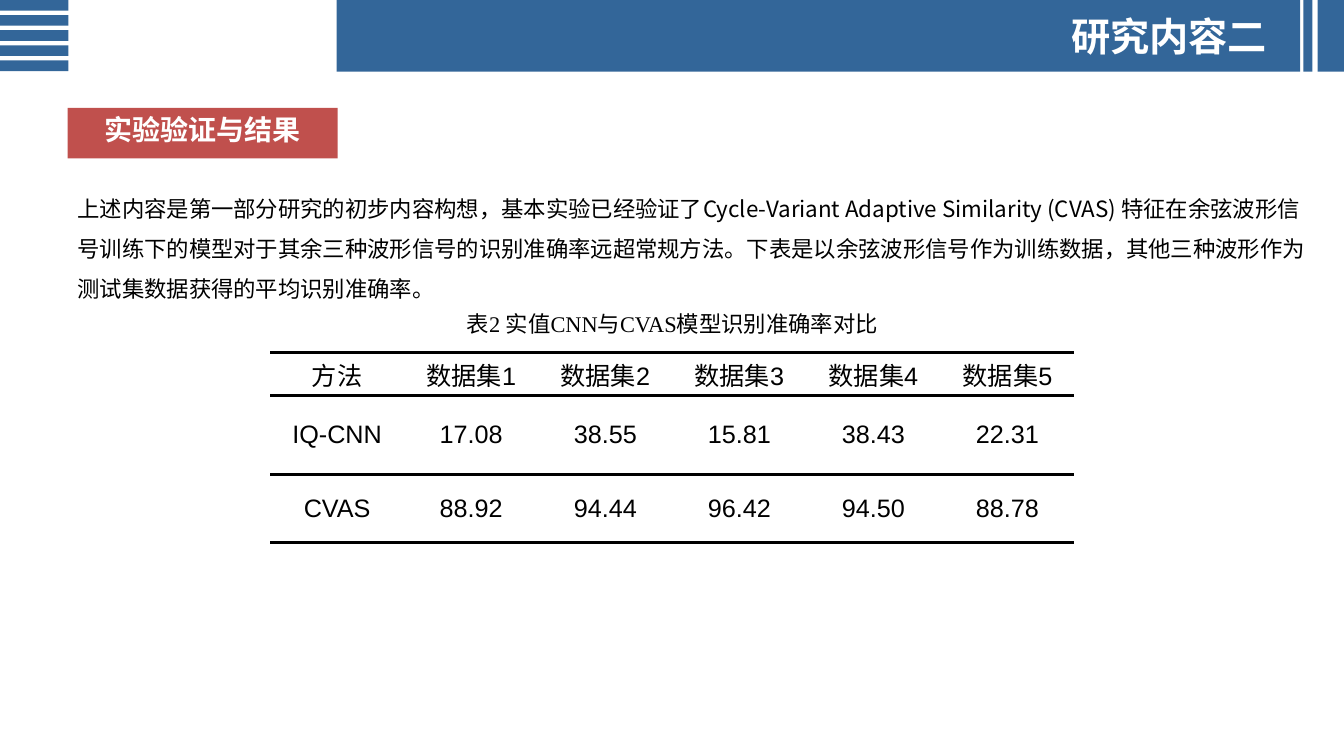
from dataclasses import dataclass

from lxml.etree import SubElement
from pptx import Presentation
from pptx.dml.color import RGBColor
from pptx.enum.shapes import MSO_SHAPE
from pptx.enum.text import MSO_ANCHOR as Anchor, MSO_AUTO_SIZE as AutoSize, PP_ALIGN as Align
from pptx.oxml import parse_xml
from pptx.oxml.ns import nsdecls, qn
from pptx.util import Emu, Inches, Pt

SLIDE_W, SLIDE_H = Inches(13.333), Inches(7.5)
NO_STYLE = "{2D5ABB26-0587-4C30-8999-92F81FD0307C}"


@dataclass(frozen=True)
class Theme:
    blue: str = "336699"
    red: str = "C0504D"
    white: str = "FFFFFF"
    black: str = "000000"
    cjk: str = "Noto Sans CJK SC"
    serif: str = "Times New Roman"
    sans: str = "Arial"
    title: int = 28
    badge: int = 20
    cell: int = 18
    body: int = 16
    rule: float = 2.25


T = Theme()


@dataclass(frozen=True)
class Box:
    """A rectangle in percent of the slide's width and height."""
    x: float
    y: float
    w: float
    h: float

    def emu(self) -> tuple[Emu, Emu, Emu, Emu]:
        return across(self.x), down(self.y), across(self.w), down(self.h)


@dataclass(frozen=True)
class Style:
    size: int
    font: str = T.cjk
    color: str = T.black
    bold: bool = False
    align: Align = Align.CENTER
    anchor: Anchor = Anchor.MIDDLE
    spacing: float = 1.0


def across(share: float) -> Emu:
    return Emu(round(SLIDE_W * share / 100))


def down(share: float) -> Emu:
    return Emu(round(SLIDE_H * share / 100))


BAND_H = 9.47
BANDS = [Box(25.05, 0, 71.7, BAND_H), Box(96.98, 0, 0.68, BAND_H), Box(98.03, 0, 1.97, BAND_H)]
STRIPES = [Box(0, 2 * i, 5.1, 1.4) for i in range(5)]
TITLE = Box(28.35, 0.53, 66.68, 8.53)
BADGE = Box(5.03, 14.27, 20.1, 6.67)
BODY = Box(5.03, 23.33, 93.83, 17.47)
CAPTION = Box(32.63, 40.27, 34.8, 4.93)
TABLE = Box(20.1, 46.67, 59.85, 25.06)
ROW_SHARES = (5.6, 10.53, 8.93)

BODY_TEXT = (
    "上述内容是第一部分研究的初步内容构想，基本实验已经验证了Cycle-Variant Adaptive Similarity (CVAS) "
    "特征在余弦波形信号训练下的模型对于其余三种波形信号的识别准确率远超常规方法。"
    "下表是以余弦波形信号作为训练数据，其他三种波形作为测试集数据获得的平均识别准确率。"
)
RESULTS = (
    ("方法", *(f"数据集{n}" for n in range(1, 6))),
    ("IQ-CNN", "17.08", "38.55", "15.81", "38.43", "22.31"),
    ("CVAS", "88.92", "94.44", "96.42", "94.50", "88.78"),
)


def write(tf, text: str, style: Style) -> None:
    tf.word_wrap = True
    p = tf.paragraphs[0]
    p.alignment, p.line_spacing = style.align, style.spacing
    r = p.add_run()
    r.text = text
    r.font.size, r.font.bold = Pt(style.size), style.bold
    r.font.name = style.font
    r.font.color.rgb = RGBColor.from_string(style.color)
    SubElement(r.font._element, qn("a:ea")).set("typeface", T.cjk)


def add_rect(s, box: Box, color: str):
    sp = s.shapes.add_shape(MSO_SHAPE.RECTANGLE, *box.emu())
    sp.shadow.inherit = False
    sp.fill.solid()
    sp.fill.fore_color.rgb = RGBColor.from_string(color)
    sp.line.fill.background()
    return sp


def fill_text(sp, text: str, style: Style) -> None:
    tf = sp.text_frame
    tf.auto_size, tf.vertical_anchor = AutoSize.NONE, style.anchor
    write(tf, text, style)


def add_text(s, box: Box, text: str, style: Style) -> None:
    fill_text(s.shapes.add_textbox(*box.emu()), text, style)


def add_title(s, text: str) -> None:
    """Place the title placeholder in front of the blue band."""
    sp = s.shapes.title
    sp.left, sp.top, sp.width, sp.height = TITLE.emu()
    s.shapes._spTree.append(sp._element)
    fill_text(sp, text, Style(T.title, color=T.white, bold=True, align=Align.RIGHT))


def set_rules(cell, sides: str) -> None:
    """Draw black rules on the given sides: T for top, B for bottom."""
    for i, side in enumerate(sides):
        cell._tc.get_or_add_tcPr().insert(i, parse_xml(
            f'<a:ln{side} {nsdecls("a")} w="{Pt(T.rule)}"><a:solidFill>'
            f'<a:srgbClr val="{T.black}"/></a:solidFill></a:ln{side}>'))


def add_results(s) -> None:
    tbl = s.shapes.add_table(len(RESULTS), len(RESULTS[0]), *TABLE.emu()).table
    tbl.first_row = tbl.horz_banding = False
    tbl._tbl.tblPr.find(qn("a:tableStyleId")).text = NO_STYLE
    for row, share in zip(tbl.rows, ROW_SHARES):
        row.height = down(share)
    for values, row, sides in zip(RESULTS, tbl.rows, ("TB", "T", "B")):
        for value, cell in zip(values, row.cells):
            cell.fill.background()
            cell.margin_left = cell.margin_right = Inches(0.07)
            cell.margin_top = cell.margin_bottom = 0
            cell.vertical_anchor = Anchor.MIDDLE
            write(cell.text_frame, value, Style(T.cell, T.sans))
            set_rules(cell, sides)


def main() -> None:
    prs = Presentation()
    prs.slide_width, prs.slide_height = SLIDE_W, SLIDE_H
    s = prs.slides.add_slide(prs.slide_layouts[5])
    for box in BANDS + STRIPES:
        add_rect(s, box, T.blue)
    add_title(s, "研究内容二")
    fill_text(add_rect(s, BADGE, T.red), "实验验证与结果",
              Style(T.badge, color=T.white, bold=True, anchor=Anchor.TOP))
    add_text(s, BODY, BODY_TEXT,
             Style(T.body, align=Align.LEFT, anchor=Anchor.TOP, spacing=1.5))
    add_results(s)
    add_text(s, CAPTION, "表2 实值CNN与CVAS模型识别准确率对比", Style(T.body, T.serif))
    prs.save("out.pptx")


if __name__ == "__main__":
    main()
